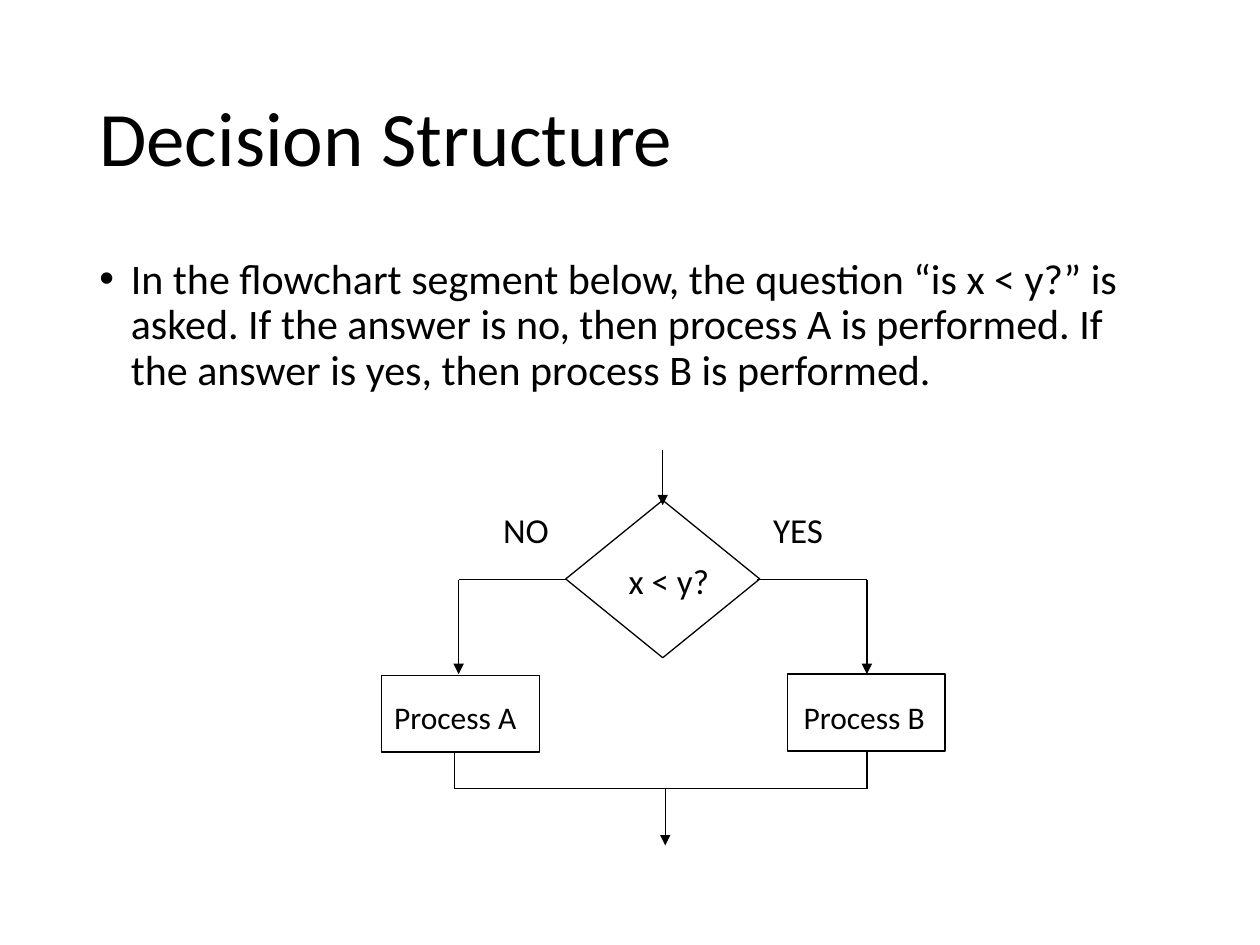
from dataclasses import dataclass

from lxml import etree
from pptx import Presentation
from pptx import util as u
from pptx.dml.color import RGBColor
from pptx.enum import shapes, text
from pptx.oxml import ns

BLACK = RGBColor(0, 0, 0)
FONT = "Calibri"
LINE_WIDTH = u.Pt(0.75)

# Shared levels and axes of the flowchart, in inches
LEFT_AXIS, RIGHT_AXIS = 3.64, 6.88
MERGE_LEFT, MERGE_AXIS = 3.61, 5.28
BRANCH_Y, PROCESS_Y, PROCESS_END, MERGE_Y = 4.6, 5.35, 5.97, 6.26


@dataclass(frozen=True)
class Node:
    """An outlined flowchart symbol."""
    kind: shapes.MSO_SHAPE
    left: float
    top: float
    width: float
    height: float


@dataclass(frozen=True)
class Flow:
    """A straight flow line, with or without an arrowhead."""
    start: tuple[float, float]
    end: tuple[float, float]
    arrow: bool = False


@dataclass(frozen=True)
class Label:
    """A short text on the flowchart."""
    words: str
    left: float
    top: float
    width: float
    height: float = 0.43
    size: int = 20
    align: text.PP_ALIGN = text.PP_ALIGN.LEFT


NODES = [
    Node(shapes.MSO_SHAPE.RECTANGLE, 3.03, 5.36, 1.25, 0.61),
    Node(shapes.MSO_SHAPE.FLOWCHART_DECISION, 4.49, 3.97, 1.54, 1.25),
    Node(shapes.MSO_SHAPE.RECTANGLE, 6.25, 5.35, 1.25, 0.61),
]
FLOWS = [
    Flow((4.5, BRANCH_Y), (LEFT_AXIS, BRANCH_Y)),
    Flow((LEFT_AXIS, BRANCH_Y), (LEFT_AXIS, PROCESS_Y), arrow=True),
    Flow((RIGHT_AXIS, BRANCH_Y), (6.01, BRANCH_Y)),
    Flow((RIGHT_AXIS, BRANCH_Y), (RIGHT_AXIS, PROCESS_Y), arrow=True),
    Flow((MERGE_LEFT, PROCESS_END), (MERGE_LEFT, MERGE_Y)),
    Flow((RIGHT_AXIS, PROCESS_END), (RIGHT_AXIS, MERGE_Y)),
    Flow((RIGHT_AXIS, MERGE_Y), (MERGE_LEFT, MERGE_Y)),
    Flow((MERGE_AXIS, MERGE_Y), (MERGE_AXIS, 6.71), arrow=True),
    Flow((5.26, 3.57), (5.26, 4.01), arrow=True),
]
LABELS = [
    Label("YES", 5.92, 3.99, 0.83, align=text.PP_ALIGN.CENTER),
    Label("NO", 3.76, 3.99, 0.83, align=text.PP_ALIGN.CENTER),
    Label("x < y?", 4.89, 4.39, 0.94),
    Label("Process B", 6.28, 5.49, 1.24, 0.4, 18),
    Label("Process A", 3.03, 5.49, 1.24, 0.4, 18),
]


def add_text(page, words: str, left: float, top: float, width: float, height: float, *,
             size: int, align=text.PP_ALIGN.LEFT, anchor=text.MSO_ANCHOR.TOP,
             line_spacing: float = 1.0, space_before: float = 0):
    """Add a wrapped text box and return its paragraph."""
    box = page.shapes.add_textbox(*map(u.Inches, (left, top, width, height)))
    frame = box.text_frame
    frame.word_wrap = True
    frame.vertical_anchor = anchor
    para = frame.paragraphs[0]
    para.alignment = align
    para.line_spacing = line_spacing
    para.space_before = u.Pt(space_before)
    span = para.add_run()
    span.text = words
    span.font.name = FONT
    span.font.size = u.Pt(size)
    span.font.color.rgb = BLACK
    return para


def add_bullet(para, indent: float) -> None:
    """Give a paragraph a round bullet with a hanging indent."""
    props = para._p.get_or_add_pPr()
    props.set("marL", str(u.Inches(indent)))
    props.set("indent", str(-u.Inches(indent)))
    etree.SubElement(props, ns.qn("a:buFont"), typeface="Arial")
    etree.SubElement(props, ns.qn("a:buChar"), char="•")


def style_line(line) -> None:
    """Apply the thin black stroke."""
    line.color.rgb = BLACK
    line.width = LINE_WIDTH


def add_node(page, node: Node) -> None:
    """Draw an unfilled flowchart symbol."""
    shape = page.shapes.add_shape(
        node.kind, *map(u.Inches, (node.left, node.top, node.width, node.height)))
    shape.shadow.inherit = False
    shape.fill.background()
    style_line(shape.line)


def add_flow(page, flow: Flow) -> None:
    """Draw a flow line."""
    connector = page.shapes.add_connector(
        shapes.MSO_CONNECTOR.STRAIGHT, *map(u.Inches, flow.start + flow.end))
    style_line(connector.line)
    if flow.arrow:
        etree.SubElement(connector.line._get_or_add_ln(), ns.qn("a:tailEnd"), type="triangle")
    etree.SubElement(connector._element.spPr, ns.qn("a:effectLst"))


def main() -> None:
    """Build and save the slide."""
    deck = Presentation()
    deck.slide_width, deck.slide_height = u.Inches(10), u.Inches(7.5)
    page = deck.slides.add_slide(deck.slide_layouts[6])

    add_text(page, "Decision Structure", 0.69, 0.4, 8.62, 1.45, size=44,
             anchor=text.MSO_ANCHOR.MIDDLE, line_spacing=0.9)
    body = add_text(
        page,
        "In the flowchart segment below, the question “is x < y?” is asked. "
        "If the answer is no, then process A is performed. "
        "If the answer is yes, then process B is performed.",
        0.69, 2, 8.62, 4.76, size=24, line_spacing=0.9, space_before=10)
    add_bullet(body, 0.25)

    for node in NODES:
        add_node(page, node)
    for flow in FLOWS:
        add_flow(page, flow)
    for label in LABELS:
        add_text(page, label.words, label.left, label.top, label.width, label.height,
                 size=label.size, align=label.align)
    deck.save("out.pptx")


main()
